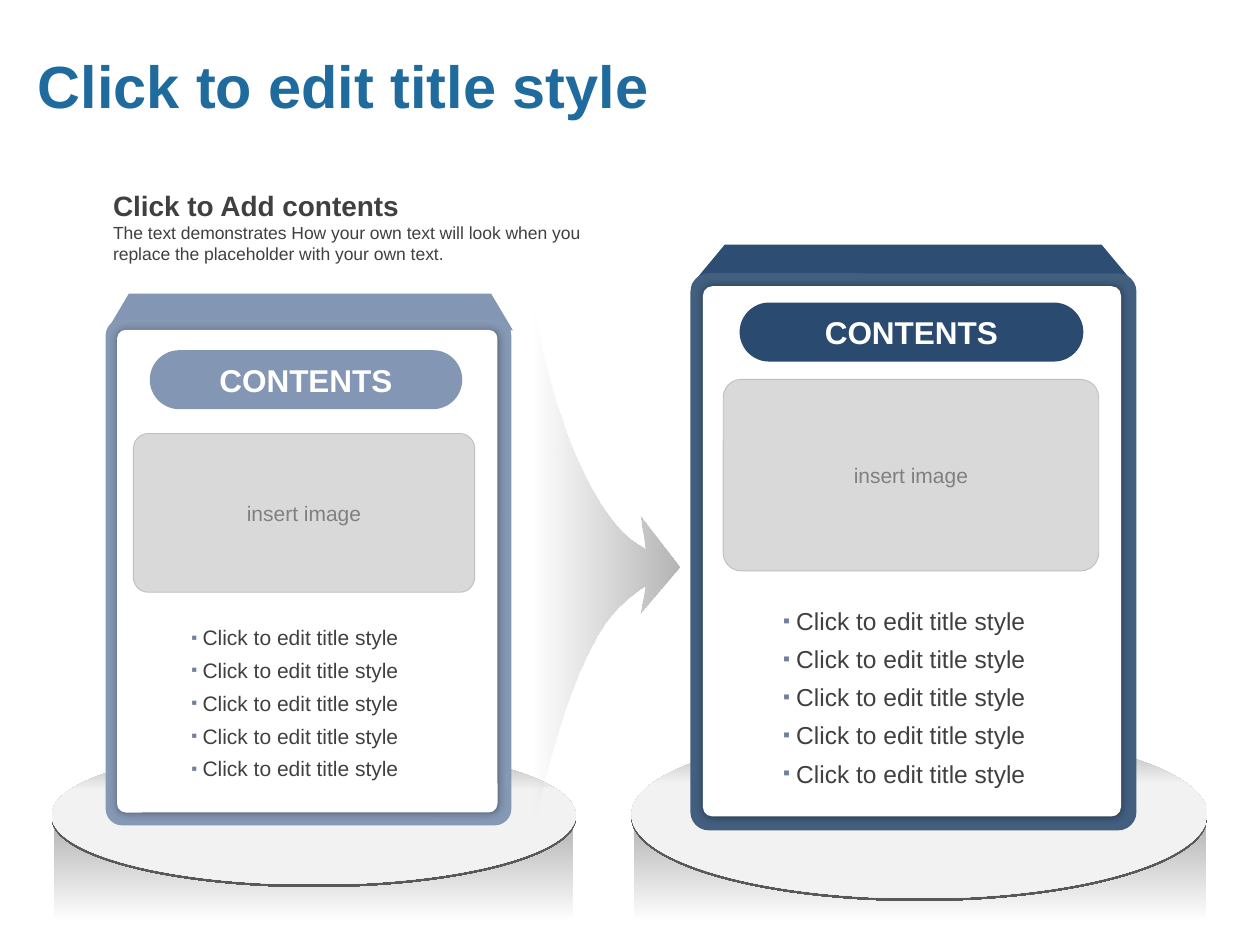
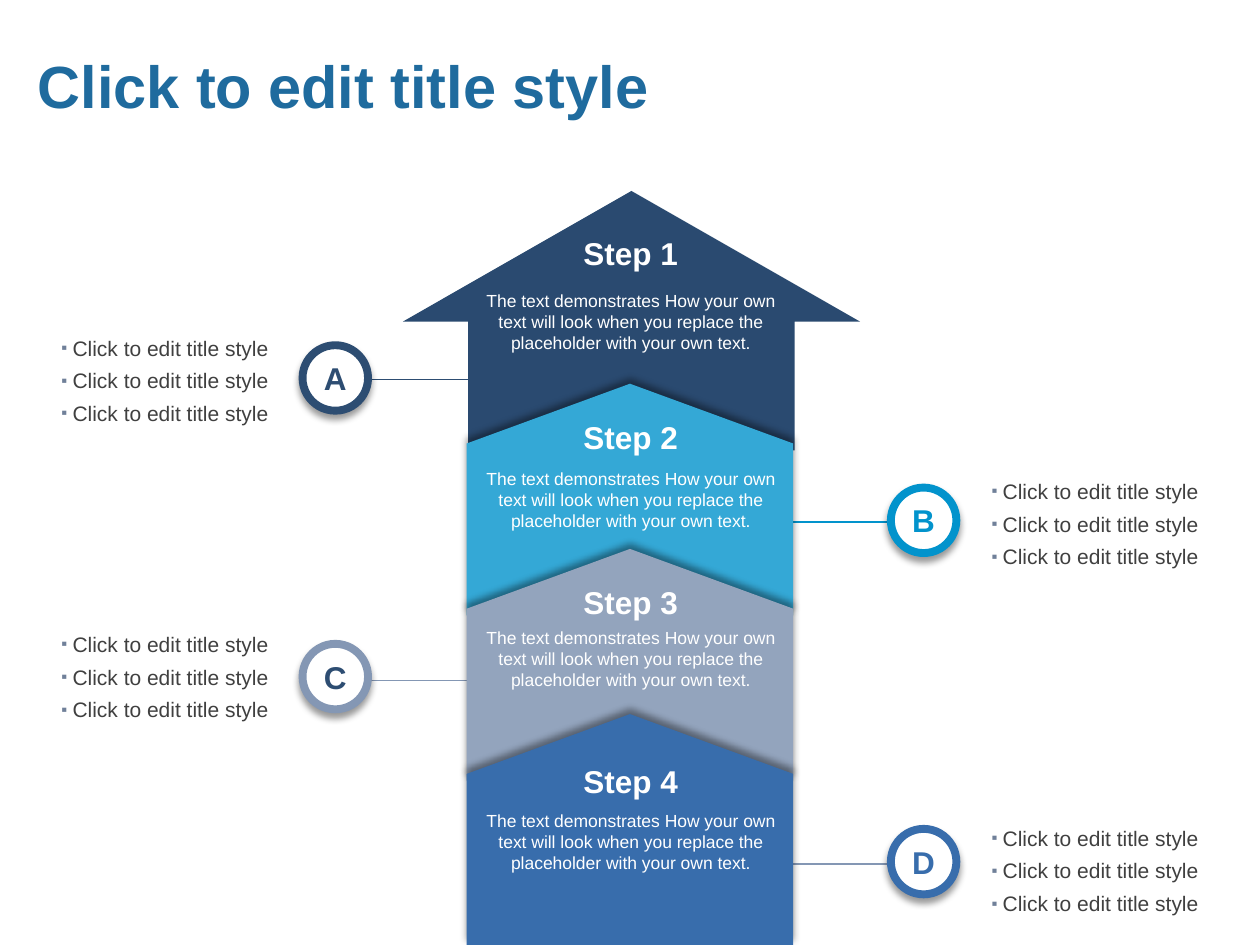
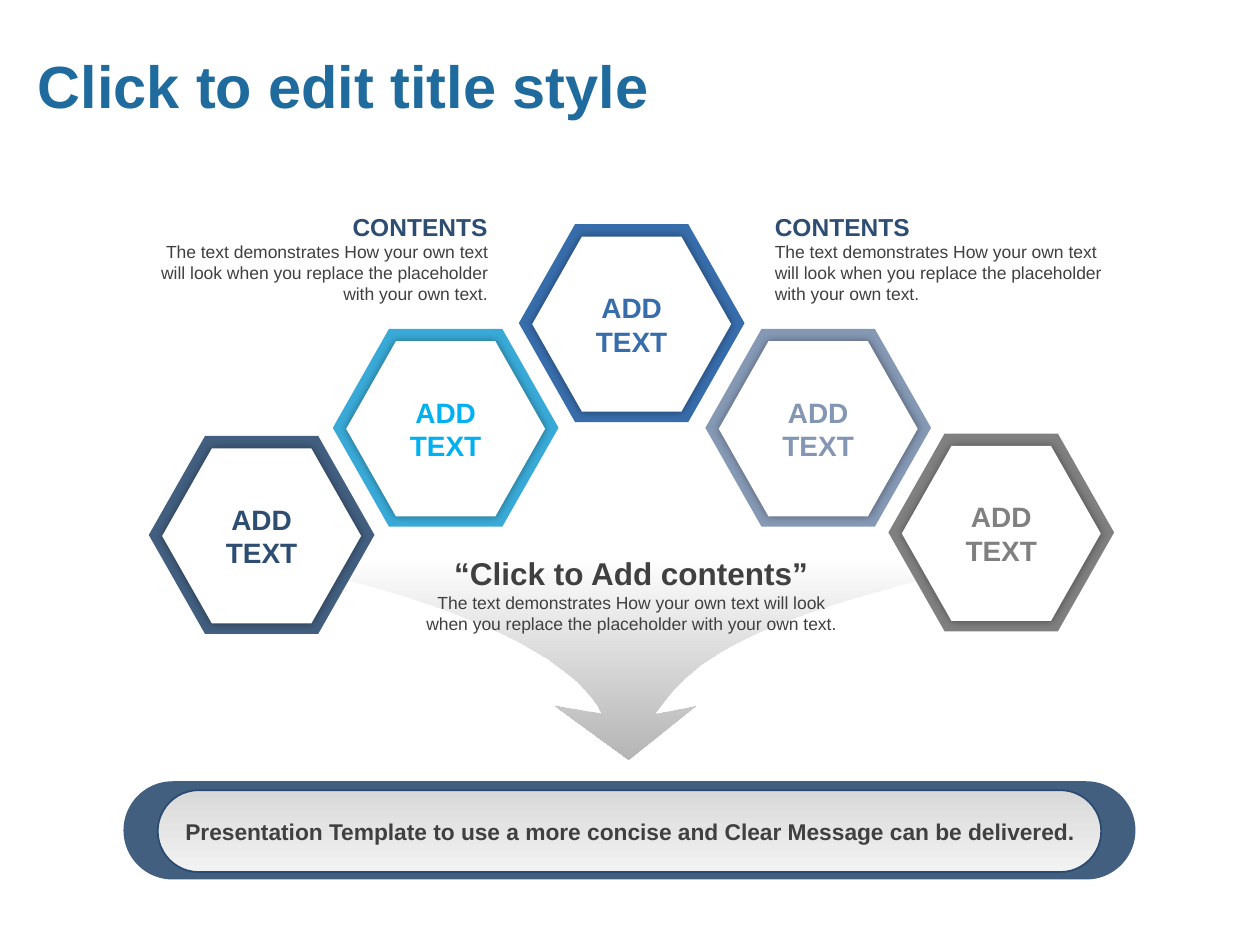
from dataclasses import dataclass
from lxml.etree import SubElement as Sub
from pptx import Presentation
from pptx.dml.color import RGBColor as Rgb
from pptx.enum.shapes import MSO_CONNECTOR as Link, MSO_SHAPE as Kind
from pptx.enum.text import MSO_ANCHOR as Anchor, PP_ALIGN as Align
from pptx.oxml.ns import qn
from pptx.util import Cm, Pt


@dataclass(frozen=True)
class Theme:
    font: str = "Arial"
    title: str = "1F6B9E"
    text: str = "404040"
    white: str = "FFFFFF"
    black: str = "000000"
    navy: str = "2A4A70"
    deep: str = "2D4D72"
    slate: str = "425F80"
    blue: str = "386DAC"
    sky: str = "34A8D6"
    cyan: str = "0293CC"
    aqua: str = "39AAD7"
    vivid: str = "00B0F0"
    steel: str = "8396B3"
    mist: str = "8598B4"
    haze: str = "8497B4"
    dusk: str = "93A4BD"
    bullet: str = "708099"
    gray: str = "808080"
    rim: str = "BFBFBF"
    pale: str = "D9D9D9"
    light: str = "F2F2F2"
    mid: str = "A6A6A6"
    edge: str = "595959"
    huge: int = 34
    big: int = 18
    head: int = 16
    sub: int = 14
    lead: int = 13
    item: int = 12
    body: int = 10


T = Theme()
TITLE = "Click to edit title style"
NOTE = ("The text demonstrates How your own text will look when you "
        "replace the placeholder with your own text.")
HEAD = "Click to Add contents"
SLOGAN = "Presentation Template to use a more concise and Clear Message can be delivered."

# Boxes are left, top, width, height in centimetres.
PANELS = [
    dict(shade=(1.09, 16.61, 10.46, 1.93), disc=(1.04, 15.04, 10.57, 2.79),
         lid=(2.16, 5.92, 8.18, 0.74), slope=0.593, frame=(2.13, 6.43, 8.18, 10.21),
         sheet=(2.36, 6.65, 7.67, 9.73), pill=(3.02, 7.06, 6.3, 1.19),
         image=(2.69, 8.74, 6.88, 3.2), items=(3.61, 12.32, 5.28, 3.58),
         size=T.item, hues=(T.steel, T.mist, T.steel)),
    dict(shade=(12.8, 16.61, 11.51, 1.93), disc=(12.73, 14.73, 11.61, 3.38),
         lid=(13.94, 4.93, 8.94, 0.81), slope=0.831, frame=(13.92, 5.51, 8.99, 11.23),
         sheet=(14.17, 5.77, 8.43, 10.69), pill=(14.91, 6.1, 6.93, 1.19),
         image=(14.58, 7.65, 7.57, 3.86), items=(15.54, 11.91, 6, 4.14),
         size=T.sub, hues=(T.deep, T.slate, T.navy)),
]
# Two numbers are a corner; six are a curve: two handles and an end.
RIGHT_ARROW = [
    (12.9, 12.37), (13, 11.81), (12.32, 12.27, 11.66, 12.8, 10.74, 16.74),
    (10.74, 6.02), (11.18, 8.64, 12.09, 10.64, 13, 11.05), (12.9, 10.39), (13.69, 11.43)]
DOWN_ARROW = [
    (14.05, 14.22), (13.21, 14.38), (13.89, 13.44, 14.71, 12.5, 20.55, 11.25),
    (4.65, 11.25), (8.53, 11.84, 11.51, 13.11, 12.12, 14.38), (11.15, 14.22), (12.67, 15.32)]

STEPS = [("Step 1", 4.6, 5.72), ("Step 2", 8.31, 9.3),
         ("Step 3", 11.63, 12.52), ("Step 4", 15.24, 16.21)]
CHEVRONS = [T.sky, T.dusk, T.blue]
# Letter, left side?, ring top, line height, list top, ring, letter and line colours
MARKS = [("A", True, 6.96, 7.65, 6.48, T.deep, T.deep, T.deep),
         ("B", False, 9.83, 10.52, 9.37, T.cyan, T.cyan, T.cyan),
         ("C", True, 12.98, 13.72, 12.45, T.haze, T.deep, T.haze),
         ("D", False, 16.71, 17.42, 16.36, T.blue, T.blue, T.haze)]

HEXES = [(10.46, 4.52, T.blue, T.blue), (14.22, 6.63, T.mist, T.steel),
         (6.71, 6.63, T.aqua, T.vivid), (3, 8.79, T.slate, T.deep),
         (17.91, 8.74, T.gray, T.gray)]

GLOW = (T.black, 40, 5, 0, 0)
FADE = [(0, T.black, 30), (100, T.black, 0)]
DISC = [(0, T.mid, 100), (32, T.light, 100)]
BAR = [(1, T.light, 100), (99, T.pale, 100)]


def tint(node, hue, alpha):
    """Add a colour with an opacity in percent below an XML node."""
    clr = Sub(node, qn("a:srgbClr"), val=hue)
    if alpha < 100:
        Sub(clr, qn("a:alpha"), val=str(alpha * 1000))


def blend(shape, stops, angle):
    """Fill with a linear gradient; angle is clockwise from left to right."""
    shape.fill.gradient()
    grad = shape._element.spPr.find(qn("a:gradFill"))
    for child in list(grad):
        grad.remove(child)
    row = Sub(grad, qn("a:gsLst"))
    for pos, hue, alpha in stops:
        tint(Sub(row, qn("a:gs"), pos=str(pos * 1000)), hue, alpha)
    Sub(grad, qn("a:lin"), ang=str(angle * 60000), scaled="0")


def dress(shape, fill, line=None, glow=None):
    """Set fill (a colour, or stops and angle), line and shadow."""
    if isinstance(fill, str):
        shape.fill.solid()
        shape.fill.fore_color.rgb = Rgb.from_string(fill)
    else:
        blend(shape, *fill)
    if line:
        hue, width = line
        shape.line.color.rgb = Rgb.from_string(hue)
        shape.line.width = Pt(width)
    else:
        shape.line.fill.background()
    shape.shadow.inherit = False
    if glow:
        hue, alpha, blur, dist, angle = glow
        effects = shape._element.spPr.find(qn("a:effectLst"))
        tint(Sub(effects, qn("a:outerShdw"), blurRad=str(Pt(blur)), dist=str(Pt(dist)),
                 dir=str(angle * 60000), algn="ctr", rotWithShape="0"), hue, alpha)
    return shape


def draw(slide, kind, box, fill, line=None, glow=None, adj=()):
    shape = slide.shapes.add_shape(kind, *map(Cm, box))
    for i, value in enumerate(adj):
        shape.adjustments[i] = value
    return dress(shape, fill, line, glow)


def write(shape, rows, align=Align.LEFT, anchor=Anchor.TOP, pad=None, mark=False):
    """Fill a shape with rows of text, size, colour and weight."""
    frame = shape.text_frame
    frame.word_wrap = True
    frame.vertical_anchor = anchor
    if pad is not None:
        frame.margin_left = frame.margin_right = Cm(pad)
        frame.margin_top = frame.margin_bottom = Cm(pad)
    for i, (text, size, hue, bold) in enumerate(rows):
        para = frame.add_paragraph() if i else frame.paragraphs[0]
        para.text = text
        para.alignment = align
        if mark:
            bullet(para, size)
        font = para.font
        font.name, font.size, font.bold = T.font, Pt(size), bold
        font.color.rgb = Rgb.from_string(hue)


def bullet(para, size):
    para.line_spacing = 1.3
    props = para._p.get_or_add_pPr()
    gap = Pt(size * 0.53)
    props.set("marL", str(gap))
    props.set("indent", str(-gap))
    tint(Sub(props, qn("a:buClr")), T.bullet, 100)
    Sub(props, qn("a:buSzPct"), val="80000")
    Sub(props, qn("a:buFont"), typeface=T.font)
    Sub(props, qn("a:buChar"), char="▪")


def label(slide, box, rows, **look):
    write(slide.shapes.add_textbox(*map(Cm, box)), rows, **look)


def center(shape, rows):
    write(shape, rows, Align.CENTER, Anchor.MIDDLE, 0)


def listing(slide, box, count, size=T.item):
    label(slide, box, [(TITLE, size, T.text, False)] * count, mark=True)


def trace(route, parts=24):
    """Turn corners and curves into plain points."""
    points = []
    for step in route:
        if len(step) == 2:
            points.append(step)
            continue
        a, b, c, d = points[-1], step[:2], step[2:4], step[4:]
        for i in range(1, parts + 1):
            t = i / parts
            u = 1 - t
            points.append(tuple(
                u**3 * a[k] + 3 * u * u * t * b[k] + 3 * u * t * t * c[k] + t**3 * d[k]
                for k in (0, 1)))
    return [(Cm(x), Cm(y)) for x, y in points]


def arrow(slide, route, angle):
    start, *rest = trace(route)
    path = slide.shapes.build_freeform(*start)
    path.add_line_segments(rest, close=True)
    dress(path.convert_to_shape(), (FADE, angle))


def page(deck):
    slide = deck.slides.add_slide(deck.slide_layouts[6])
    label(slide, (0.51, 0.43, 17.42, 2.57), [(TITLE, T.huge, T.title, True)],
          anchor=Anchor.MIDDLE)
    return slide


def panel(slide, part):
    lid, frame, pill = part["hues"]
    draw(slide, Kind.TRAPEZOID, part["lid"], lid, adj=[part["slope"]])
    draw(slide, Kind.ROUNDED_RECTANGLE, part["frame"], frame, adj=[0.041])
    draw(slide, Kind.ROUNDED_RECTANGLE, part["sheet"], T.white, glow=GLOW, adj=[0.023])
    center(draw(slide, Kind.ROUNDED_RECTANGLE, part["pill"], pill, adj=[0.5]),
           [("CONTENTS", T.big, T.white, True)])
    center(draw(slide, Kind.ROUNDED_RECTANGLE, part["image"], T.pale, (T.rim, 0.5),
                adj=[0.094]), [("insert image", T.item, T.gray, False)])
    listing(slide, part["items"], 5, part["size"])


def compare(deck):
    slide = page(deck)
    for part in PANELS:
        draw(slide, Kind.RECTANGLE, part["shade"], (FADE, 90))
        draw(slide, Kind.OVAL, part["disc"], (DISC, 90), glow=(T.edge, 100, 0, 1.5, 90))
    left, right = PANELS
    panel(slide, left)
    arrow(slide, RIGHT_ARROW, 180)
    panel(slide, right)
    label(slide, (2.03, 3.68, 10.87, 1.8),
          [(HEAD, T.head, T.text, True), (NOTE, T.body, T.text, False)])


def climb(deck):
    slide = page(deck)
    for _, left, _, level, _, _, _, hue in MARKS:
        ends = (7.29, 9.68) if left else (15.85, 18.01)
        line = slide.shapes.add_connector(
            Link.STRAIGHT, Cm(ends[0]), Cm(level), Cm(ends[1]), Cm(level))
        line.line.color.rgb = Rgb.from_string(hue)
        line.line.width = Pt(0.75)
        Sub(line._element.spPr, qn("a:effectLst"))
    draw(slide, Kind.UP_ARROW, (8.12, 3.85, 9.22, 5.23), T.navy, adj=[0.714, 0.504])
    wide, high = 6.58, 4.67
    for i, hue in enumerate(CHEVRONS):
        mid = 10.07 + i * 3.33
        plate = draw(slide, Kind.PENTAGON, (12.7 - high / 2, mid - wide / 2, high, wide),
                     hue, glow=(T.black, 40, 4, 3, 270), adj=[0.258])
        plate.rotation = 270
    for name, top, below in STEPS:
        label(slide, (9.45, top, 6.53, 1.02), [(name, T.big, T.white, True)],
              align=Align.CENTER)
        label(slide, (9.45, below, 6.53, 1.63), [(NOTE, T.body, T.white, False)],
              align=Align.CENTER)
    for name, left, top, _, first, ring, hue, _ in MARKS:
        dot = draw(slide, Kind.OVAL, (6.1 if left else 17.96, top, 1.32, 1.32), T.white,
                   (ring, 4.5), (T.black, 40, 4, 3, 90))
        center(dot, [(name, T.big, hue, True)])
        listing(slide, (0.99 if left else 19.74, first, 5.03, 2.26), 3)


def gather(deck):
    slide = page(deck)
    arrow(slide, DOWN_ARROW, 270)
    for x, y, rim, hue in HEXES:
        draw(slide, Kind.HEXAGON, (x, y, 4.55, 3.99), rim, adj=[0.284])
        cell = draw(slide, Kind.HEXAGON, (x + 0.27, y + 0.25, 4.01, 3.53), T.white,
                    glow=GLOW, adj=[0.284])
        center(cell, [(word, T.head, hue, True) for word in ("ADD", "TEXT")])
    draw(slide, Kind.ROUNDED_RECTANGLE, (2.49, 15.75, 20.4, 1.98), T.slate, adj=[0.5])
    bar = draw(slide, Kind.ROUNDED_RECTANGLE, (3.18, 15.93, 19.02, 1.65), (BAR, 270),
               (T.navy, 1), adj=[0.5])
    center(bar, [(SLOGAN, T.lead, T.text, True)])
    note = (NOTE, T.body, T.text, False)
    label(slide, (8.23, 11.05, 8.99, 1.88),
          [(f"“{HEAD}”", T.big, T.text, True), note], align=Align.CENTER)
    for x, align in ((15.37, Align.LEFT), (2.92, Align.RIGHT)):
        label(slide, (x, 4.14, 7.16, 2.13),
              [("CONTENTS", T.sub, T.deep, True), note], align=align)


def main():
    deck = Presentation()
    deck.slide_width, deck.slide_height = Cm(25.4), Cm(19.05)
    for build in (compare, climb, gather):
        build(deck)
    deck.save("out.pptx")


if __name__ == "__main__":
    main()
